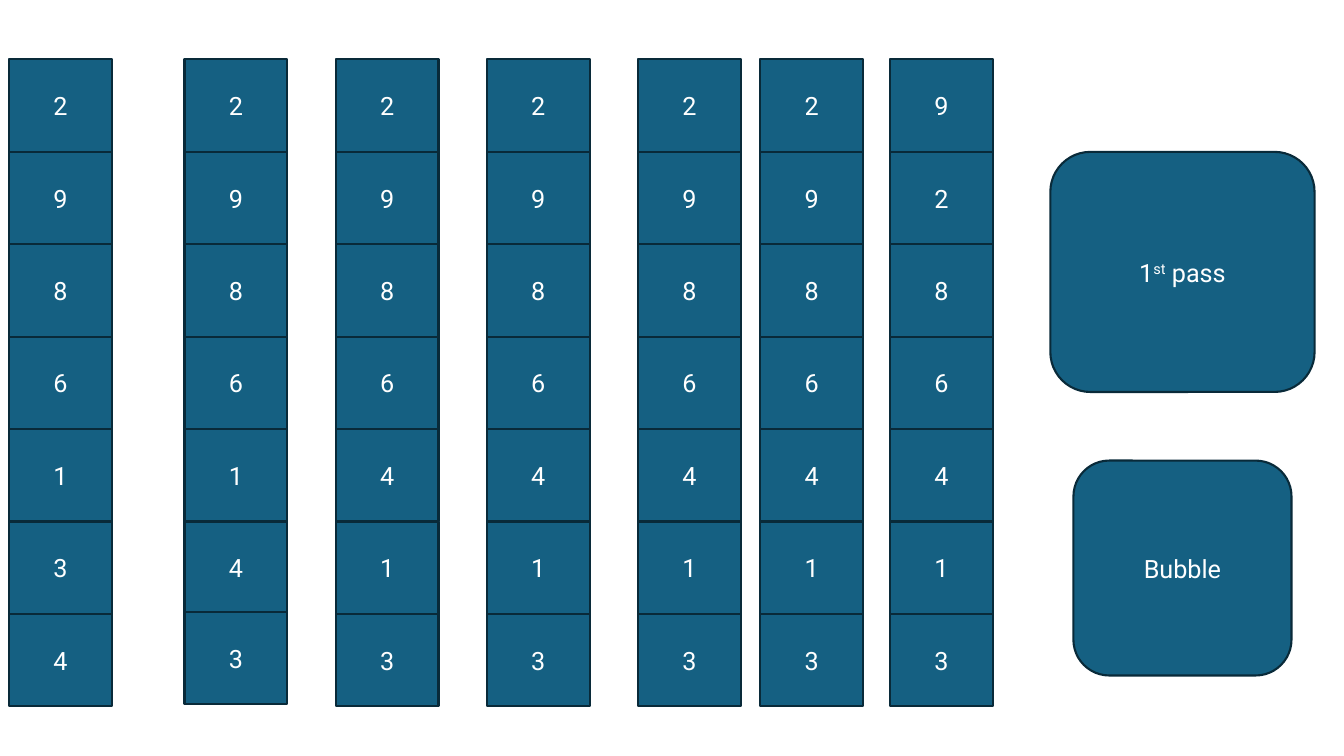
from dataclasses import dataclass

from pptx import Presentation
from pptx.dml.color import RGBColor
from pptx.enum.shapes import MSO_SHAPE as Shape
from pptx.enum.text import MSO_ANCHOR as Anchor, PP_ALIGN as Align
from pptx.slide import Slide
from pptx.util import Pt

FILL, OUTLINE, WHITE = "156082", "092A39", "FFFFFF"
FONT_FORMAT = {"name": "Roboto", "size": Pt(18)}
FRAME_FORMAT = {"word_wrap": True, "vertical_anchor": Anchor.MIDDLE}
COLUMN_TOP, CELL_WIDTH, CELL_HEIGHT = 42.5, 73.5, 66


@dataclass
class Column:
    """One state of the array, read from top to bottom."""
    left: float
    values: str
    last_cell_lift: float = 0


@dataclass
class Box:
    left: float
    top: float
    width: float
    height: float
    runs: tuple[str, ...]
    preset: Shape = Shape.ROUNDED_RECTANGLE


COLUMNS = [
    Column(6.5, "2986134"),
    Column(131.75, "2986143", last_cell_lift=1.5),
    Column(239.75, "2986413"),
    Column(347.75, "2986413"),
    Column(455.75, "2986413"),
    Column(543, "2986413"),
    Column(635.75, "9286413"),
]
# Every second run of a box is a superscript.
LABELS = [
    Box(750.25, 108.5, 188.75, 171.5, ("1", "st", " pass")),
    Box(766.75, 329, 155.75, 153.5, ("Bubble",)),
]


def color(value: str) -> RGBColor:
    return RGBColor.from_string(value)


def apply_format(target: object, values: dict) -> None:
    for name, value in values.items():
        setattr(target, name, value)


def draw_box(slide: Slide, box: Box) -> None:
    shape = slide.shapes.add_shape(
        box.preset, Pt(box.left), Pt(box.top), Pt(box.width), Pt(box.height))
    shape.shadow.inherit = False
    shape.fill.solid()
    shape.fill.fore_color.rgb = color(FILL)
    shape.line.color.rgb = color(OUTLINE)
    shape.line.width = Pt(1.5)
    apply_format(shape.text_frame, FRAME_FORMAT)
    paragraph = shape.text_frame.paragraphs[0]
    paragraph.alignment = Align.CENTER
    for index, text in enumerate(box.runs):
        run = paragraph.add_run()
        run.text = text
        apply_format(run.font, FONT_FORMAT)
        run.font.color.rgb = color(WHITE)
        if index % 2:
            run._r.get_or_add_rPr().set("baseline", "30000")


def draw_column(slide: Slide, column: Column) -> None:
    last_row = len(column.values) - 1
    for row, value in enumerate(column.values):
        top = COLUMN_TOP + row * CELL_HEIGHT
        if row == last_row:
            top -= column.last_cell_lift
        draw_box(slide, Box(column.left, top, CELL_WIDTH, CELL_HEIGHT,
                            (value,), Shape.RECTANGLE))


def main() -> None:
    presentation = Presentation()
    presentation.slide_width, presentation.slide_height = Pt(960), Pt(540)
    slide = presentation.slides.add_slide(presentation.slide_layouts[6])
    for column in COLUMNS:
        draw_column(slide, column)
    for label in LABELS:
        draw_box(slide, label)
    presentation.save("out.pptx")


if __name__ == "__main__":
    main()
